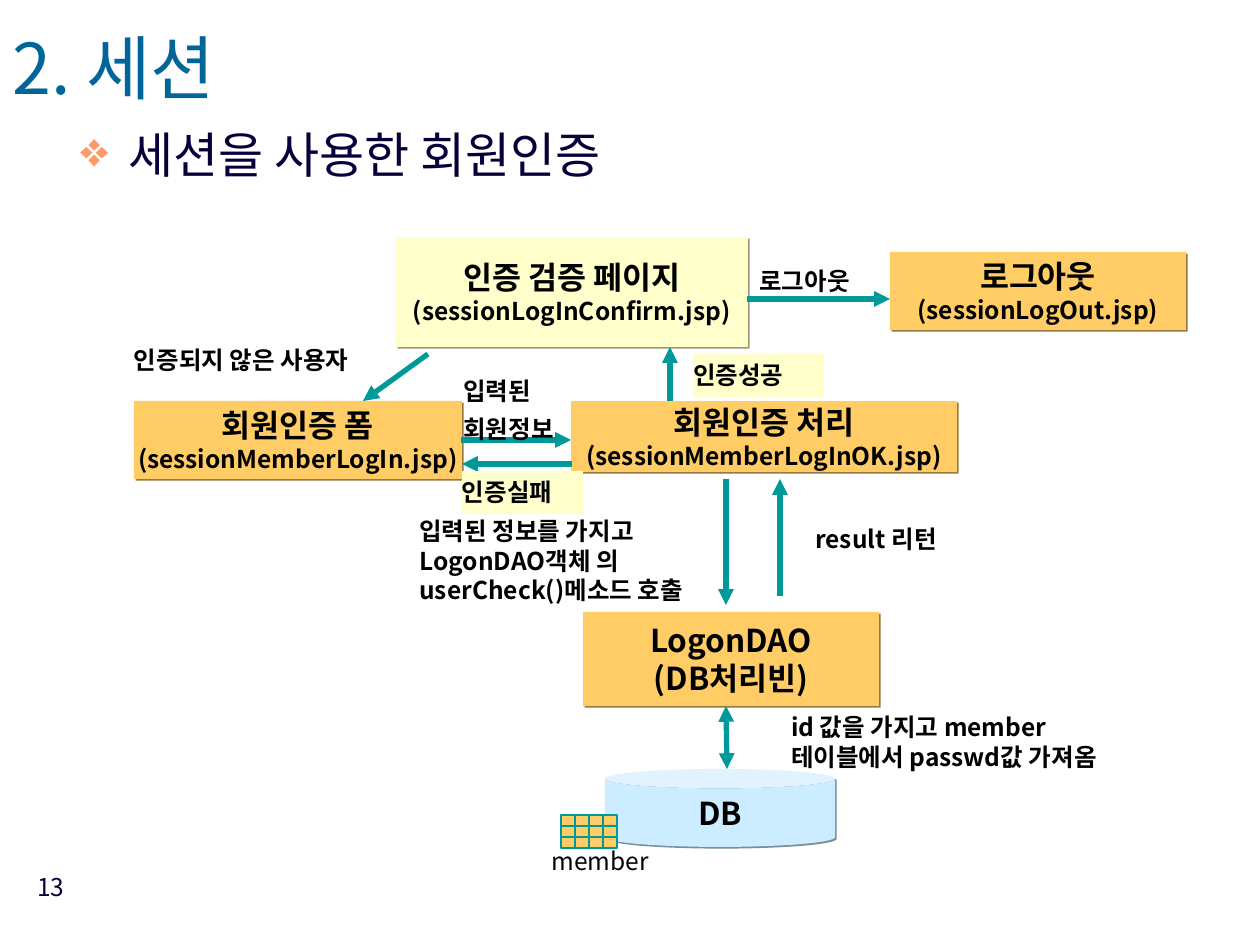
from dataclasses import dataclass
from itertools import product
from typing import Any, NamedTuple

from lxml.etree import SubElement
from pptx import Presentation
from pptx.dml.color import RGBColor
from pptx.enum.shapes import MSO_CONNECTOR as Connector
from pptx.enum.shapes import MSO_SHAPE as Shape
from pptx.enum.text import MSO_ANCHOR as Anchor
from pptx.enum.text import MSO_AUTO_SIZE as AutoSize
from pptx.enum.text import PP_ALIGN as Align
from pptx.oxml.ns import qn
from pptx.util import Emu, Pt

EMU_PER_PX = 914400 / 126


@dataclass(frozen=True)
class Theme:
    font: str = "Noto Sans CJK KR"
    title: str = "006699"
    body: str = "08003A"
    ink: str = "010000"
    bullet: str = "FF9966"
    arrow: str = "009999"
    page: str = "FFCC66"
    page_shadow: str = "997A3D"
    check: str = "FFFFCC"
    check_shadow: str = "99997A"
    database: str = "CCECFF"
    database_shadow: str = "7A8E99"
    title_size: int = 40
    body_size: int = 28
    name_size: int = 18
    small_size: int = 14


THEME = Theme()


class Area(NamedTuple):
    left: int
    top: int
    width: int
    height: int


class Line(NamedTuple):
    text: str
    size: int = THEME.small_size
    bold: bool = True
    color: str = THEME.ink


@dataclass(frozen=True)
class Box:
    area: Area
    lines: tuple[Line, ...]
    fill: str = THEME.page
    shadow: str = THEME.page_shadow
    outline: Shape = Shape.RECTANGLE


@dataclass(frozen=True)
class Label:
    area: Area
    texts: tuple[str, ...]
    inset: bool = True
    fill: str | None = None
    bold: bool = True
    spacing: float = 1.0


class Arrow(NamedTuple):
    start: tuple[int, int]
    end: tuple[int, int]
    both_ends: bool = False


def page_lines(name: str, file: str) -> tuple[Line, Line]:
    return Line(name, THEME.name_size), Line(file)


BOXES = (
    Box(Area(396, 237, 352, 110), page_lines("인증 검증 페이지", "(sessionLogInConfirm.jsp)"),
        THEME.check, THEME.check_shadow),
    Box(Area(134, 401, 328, 78), page_lines("회원인증 폼", "(sessionMemberLogIn.jsp)")),
    Box(Area(571, 401, 386, 71), page_lines("회원인증 처리", "(sessionMemberLogInOK.jsp)")),
    Box(Area(890, 252, 296, 78), page_lines("로그아웃", "(sessionLogOut.jsp)")),
    Box(Area(583, 612, 296, 94),
        (Line("LogonDAO", THEME.name_size), Line("(DB처리빈)", THEME.name_size))),
    Box(Area(605, 769, 230, 78), (Line("DB", THEME.name_size),),
        THEME.database, THEME.database_shadow, Shape.CAN),
)
ARROWS = (
    Arrow((428, 354), (363, 401)),
    Arrow((461, 440), (571, 440)),
    Arrow((572, 464), (462, 464)),
    Arrow((670, 401), (670, 347)),
    Arrow((747, 299), (890, 299)),
    Arrow((726, 479), (726, 605)),
    Arrow((780, 596), (780, 479)),
    Arrow((727, 769), (726, 706), both_ends=True),
)
LABELS = (
    Label(Area(407, 510, 329, 101), ("입력된 정보를 가지고 LogonDAO객체 의 userCheck()메소드 호출",)),
    Label(Area(539, 840, 142, 43), ("member",), bold=False),
    Label(Area(451, 377, 154, 72), ("입력된", "회원정보"), spacing=0.75),
    Label(Area(791, 706, 362, 72), ("id 값을 가지고 member 테이블에서 passwd값 가져옴",), inset=False),
    Label(Area(134, 339, 263, 43), ("인증되지 않은 사용자",), inset=False),
    Label(Area(803, 518, 164, 43), ("result 리턴",)),
    Label(Area(693, 354, 131, 43), ("인증성공",), inset=False, fill=THEME.check),
    Label(Area(462, 471, 121, 43), ("인증실패",), inset=False, fill=THEME.check),
    Label(Area(747, 260, 164, 43), ("로그아웃",)),
)
MEMBER_CELL = Area(561, 815, 14, 11)
MEMBER_ROWS, MEMBER_COLUMNS = 3, 4


def px(length: int) -> Emu:
    return Emu(round(length * EMU_PER_PX))


def emu(lengths: tuple[int, ...]) -> list[Emu]:
    return [px(length) for length in lengths]


def apply(target: Any, formats: dict[str, Any]) -> None:
    for name, value in formats.items():
        setattr(target, name, value)


def paint(fill: Any, color: str) -> None:
    fill.solid()
    fill.fore_color.rgb = RGBColor.from_string(color)


def write(frame: Any, lines: tuple[Line, ...], **paragraph_formats: Any) -> None:
    for index, line in enumerate(lines):
        paragraph = frame.add_paragraph() if index else frame.paragraphs[0]
        apply(paragraph, paragraph_formats)
        run = paragraph.add_run()
        run.text = line.text
        apply(run.font, {"name": THEME.font, "size": Pt(line.size), "bold": line.bold})
        run.font.color.rgb = RGBColor.from_string(line.color)
        SubElement(run.font._element, qn("a:ea"), typeface=THEME.font)


def draw_text(slide: Any, area: Area, line: Line, **paragraph_formats: Any) -> Any:
    frame = slide.shapes.add_textbox(*emu(area)).text_frame
    frame.word_wrap = True
    write(frame, (line,), **paragraph_formats)
    return frame.paragraphs[0]


def draw_heading(slide: Any) -> None:
    title = slide.shapes.title
    apply(title, dict(zip(("left", "top", "width", "height"), emu((0, 35, 1076, 84)))))
    apply(title.text_frame, {"vertical_anchor": Anchor.MIDDLE, "auto_size": AutoSize.NONE})
    write(title.text_frame, (Line("2. 세션", THEME.title_size, False, THEME.title),),
          alignment=Align.LEFT, line_spacing=0.7)
    topic = draw_text(slide, Area(68, 125, 1150, 69),
                      Line("세션을 사용한 회원인증", THEME.body_size, False, THEME.body),
                      line_spacing=0.9, space_before=Pt(7))
    properties = topic._p.get_or_add_pPr()
    properties.set("marL", str(px(48)))
    properties.set("indent", str(px(-48)))
    SubElement(SubElement(properties, qn("a:buClr")), qn("a:srgbClr"), val=THEME.bullet)
    SubElement(properties, qn("a:buChar"), char="❖")


def draw_box(slide: Any, box: Box) -> None:
    shape = slide.shapes.add_shape(box.outline, *emu(box.area))
    paint(shape.fill, box.fill)
    shape.line.fill.background()
    shape.shadow.inherit = False
    effects = shape._element.spPr.find(qn("a:effectLst"))
    shadow = SubElement(effects, qn("a:outerShdw"), dist=str(Pt(1.4)), dir="2700000",
                        algn="ctr", rotWithShape="0")
    SubElement(shadow, qn("a:srgbClr"), val=box.shadow)
    apply(shape.text_frame, {"word_wrap": False, "vertical_anchor": Anchor.MIDDLE})
    write(shape.text_frame, box.lines, alignment=Align.CENTER)


def draw_arrow(slide: Any, arrow: Arrow) -> None:
    connector = slide.shapes.add_connector(Connector.STRAIGHT, *emu(arrow.start + arrow.end))
    connector.line.width = Pt(3)
    paint(connector.line.fill, THEME.arrow)
    outline = connector.line._get_or_add_ln()
    for end in ("a:headEnd", "a:tailEnd") if arrow.both_ends else ("a:tailEnd",):
        SubElement(outline, qn(end), type="triangle")
    SubElement(connector._element.spPr, qn("a:effectLst"))


def draw_label(slide: Any, label: Label) -> None:
    shape = slide.shapes.add_textbox(*emu(label.area))
    if label.fill:
        paint(shape.fill, label.fill)
    frame = shape.text_frame
    apply(frame, {"word_wrap": True, "auto_size": AutoSize.SHAPE_TO_FIT_TEXT})
    if not label.inset:
        apply(frame, {"margin_left": 0, "margin_right": 0})
    write(frame, tuple(Line(text, bold=label.bold) for text in label.texts),
          line_spacing=label.spacing, space_before=Pt(8.8))


def draw_member_grid(slide: Any) -> None:
    left, top, width, height = MEMBER_CELL
    for row, column in product(range(MEMBER_ROWS), range(MEMBER_COLUMNS)):
        area = Area(left + column * width, top + row * height, width, height)
        cell = slide.shapes.add_shape(Shape.RECTANGLE, *emu(area))
        cell.shadow.inherit = False
        paint(cell.fill, THEME.page)
        paint(cell.line.fill, THEME.arrow)
        cell.line.width = Pt(0.75)


def main() -> None:
    deck = Presentation()
    apply(deck, {"slide_width": px(1260), "slide_height": px(945)})
    slide = deck.slides.add_slide(deck.slide_layouts.get_by_name("Title Only"))
    draw_heading(slide)
    draw_text(slide, Area(18, 866, 59, 66), Line("13", bold=False, color=THEME.body),
              alignment=Align.RIGHT)
    for box in BOXES:
        draw_box(slide, box)
    for arrow in ARROWS:
        draw_arrow(slide, arrow)
    draw_member_grid(slide)
    for label in LABELS:
        draw_label(slide, label)
    deck.save("out.pptx")


if __name__ == "__main__":
    main()
